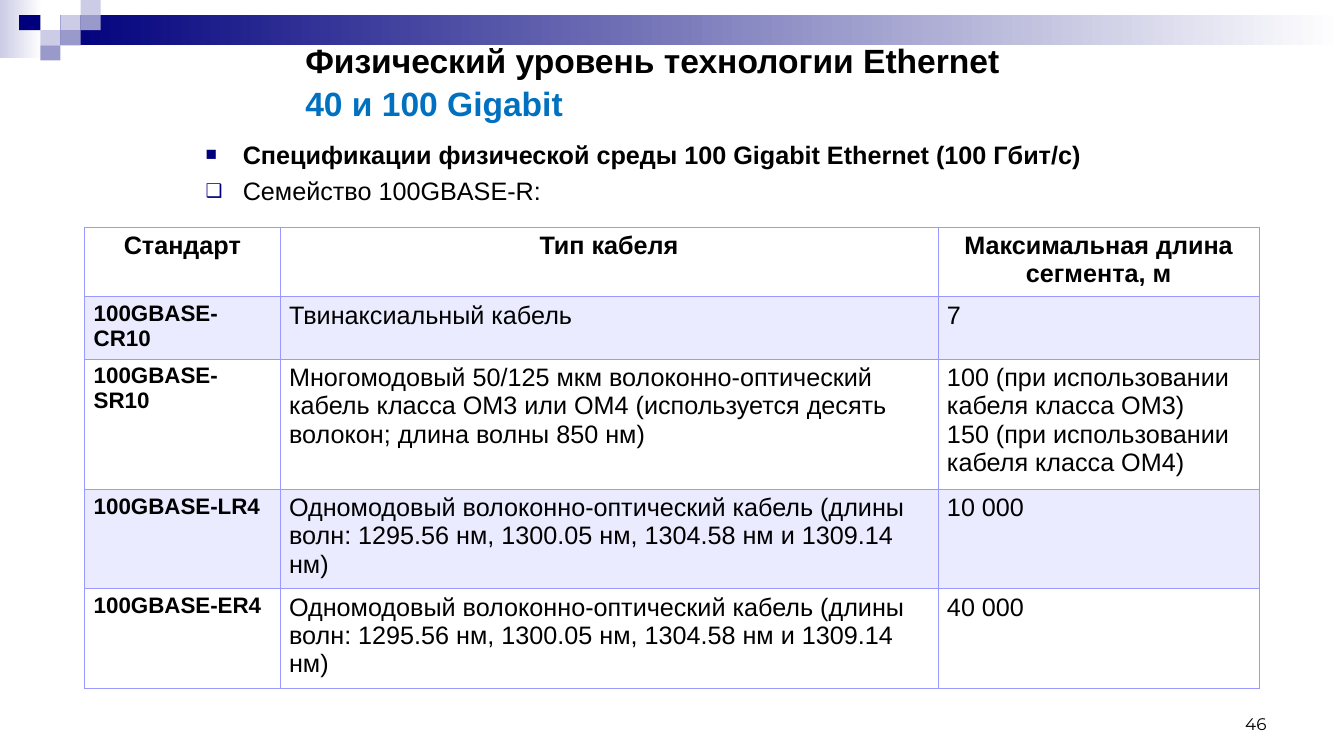
from lxml import etree
from pptx import Presentation
from pptx.dml.color import RGBColor
from pptx.enum.shapes import MSO_SHAPE as Shape
from pptx.enum.text import MSO_ANCHOR as Anchor, MSO_AUTO_SIZE as AutoSize, PP_ALIGN as Align
from pptx.oxml import parse_xml
from pptx.oxml.ns import nsdecls, qn
from pptx.util import Inches, Pt

BLACK = RGBColor(0x00, 0x00, 0x00)
WHITE = RGBColor(0xFF, 0xFF, 0xFF)
BLUE = RGBColor(0x00, 0x70, 0xC0)
NAVY = RGBColor(0x00, 0x00, 0x7D)
LILAC = RGBColor(0x99, 0x99, 0xCC)
PALE = RGBColor(0xCC, 0xCC, 0xE6)
BORDER = RGBColor(0x99, 0x99, 0xFF)
BAND = RGBColor(0xEB, 0xEB, 0xFF)

# Content
TITLE = [("Физический уровень технологии Ethernet ", BLACK), ("40 и 100 Gigabit", BLUE)]
BULLETS = [
    ("■", "Спецификации физической среды 100 Gigabit Ethernet (100 Гбит/с)", True),
    ("❑", "Семейство 100GBASE-R:", False),
]
SINGLE_MODE = ("Одномодовый волоконно-оптический кабель (длины волн: "
               "1295.56 нм, 1300.05 нм, 1304.58 нм и 1309.14 нм)")
ROWS = [
    ("Стандарт", "Тип кабеля", "Максимальная длина сегмента, м"),
    ("100GBASE-CR10", "Твинаксиальный кабель", "7"),
    ("100GBASE-SR10",
     "Многомодовый 50/125 мкм волоконно-оптический кабель класса OM3 или OM4 "
     "(используется десять волокон; длина волны 850 нм)",
     "100 (при использовании кабеля класса OM3)\n150 (при использовании кабеля класса OM4)"),
    ("100GBASE-LR4", SINGLE_MODE, "10 000"),
    ("100GBASE-ER4", SINGLE_MODE, "40 000"),
]
COLUMN_WIDTHS = [1.94, 6.53, 3.19]
ROW_HEIGHTS = [0.69, 0.62, 1.29, 0.99, 0.99]
PAGE_NUMBER = "46"

# Header decoration: left, top, width, height, colour, gradient end
HEADER = [
    (0, 0, 0.42, 0.58, PALE, WHITE),
    (0.6, 0.15, 12.73, 0.3, NAVY, WHITE),
    (0.19, 0.15, 0.21, 0.15, NAVY, None),
]
# Mosaic tiles: column and row on a grid of 0.2 by 0.15
TILES = [(3, 1, PALE), (4, 0, PALE), (4, 1, LILAC), (2, 2, PALE), (3, 2, LILAC), (2, 3, LILAC)]
TILE_WIDTH, TILE_HEIGHT = 0.2, 0.15


def place(shape, left, top, width, height):
    shape.left, shape.top = Inches(left), Inches(top)
    shape.width, shape.height = Inches(width), Inches(height)


def set_font(font, size, bold=False, color=BLACK, name="Arial"):
    font.name, font.size, font.bold = name, Pt(size), bold
    font.color.rgb = color


def add_block(page, left, top, width, height, color, fade=None):
    block = page.shapes.add_shape(Shape.RECTANGLE, Inches(left), Inches(top),
                                  Inches(width), Inches(height))
    block.shadow.inherit = False
    block.line.fill.background()
    if fade is None:
        block.fill.solid()
        block.fill.fore_color.rgb = color
        return
    block.fill.gradient()
    block.fill.gradient_angle = 0
    for stop, shade, position in zip(block.fill.gradient_stops, (color, fade), (0, 1)):
        stop.color.rgb = shade
        stop.position = position


def add_bullet(para, symbol):
    properties = para._p.get_or_add_pPr()
    properties.set("marL", str(Inches(0.37)))
    properties.set("indent", str(-Inches(0.37)))
    color = etree.SubElement(properties, qn("a:buClr"))
    etree.SubElement(color, qn("a:srgbClr"), val=str(NAVY))
    etree.SubElement(properties, qn("a:buSzPct"), val="75000")
    etree.SubElement(properties, qn("a:buFont"), typeface="Arial")
    etree.SubElement(properties, qn("a:buChar"), char=symbol)


def add_borders(cell, widths):
    properties = cell._tc.get_or_add_tcPr()
    for index, (side, width) in enumerate(widths.items()):
        properties.insert(index, parse_xml(
            f'<a:ln{side} {nsdecls("a")} w="{Pt(width)}"><a:solidFill>'
            f'<a:srgbClr val="{BORDER}"/></a:solidFill></a:ln{side}>'))


def fill_cell(cell, text, row, column):
    header = row == 0
    cell.margin_left = cell.margin_right = Inches(0.09)
    cell.margin_top = cell.margin_bottom = Inches(0.05)
    cell.text = text
    for para in cell.text_frame.paragraphs:
        para.alignment = Align.CENTER if header else Align.LEFT
        label = column == 0 and not header
        set_font(para.font, 16 if label else 18, header or label)
    if row % 2:
        cell.fill.solid()
        cell.fill.fore_color.rgb = BAND
    else:
        cell.fill.background()
    add_borders(cell, {"L": 0.45, "R": 0.45, "T": 0.96 if row == 1 else 0.45,
                       "B": 0.96 if header else 0.45})


def main():
    deck = Presentation()
    deck.slide_width, deck.slide_height = Inches(13.34), Inches(7.5)
    page = deck.slides.add_slide(deck.slide_layouts[1])

    # Header decoration
    for block in HEADER:
        add_block(page, *block)
    for column, row, color in TILES:
        add_block(page, column * TILE_WIDTH, row * TILE_HEIGHT, TILE_WIDTH, TILE_HEIGHT, color)

    # Title
    title = page.shapes.title
    place(title, 2.93, 0.52, 7.2, 0.56)
    frame = title.text_frame
    frame.auto_size, frame.vertical_anchor = AutoSize.NONE, Anchor.MIDDLE
    para = frame.paragraphs[0]
    para.alignment, para.line_spacing = Align.LEFT, 1.06
    for text, color in TITLE:
        span = para.add_run()
        span.text = text
        set_font(span.font, 24, True, color)

    # Bullet list
    body = page.placeholders[1]
    place(body, 1.94, 1.33, 9.41, 0.9)
    frame = body.text_frame
    frame.auto_size = AutoSize.NONE
    frame.text = "\n".join(text for _, text, _ in BULLETS)
    for index, (para, (symbol, _, bold)) in enumerate(zip(frame.paragraphs, BULLETS)):
        add_bullet(para, symbol)
        para.alignment = Align.JUSTIFY
        para.space_before = Pt(4.5 if index else 0)
        set_font(para.font, 18, bold)

    # Table of standards
    table = page.shapes.add_table(len(ROWS), len(COLUMN_WIDTHS), Inches(0.84), Inches(2.25),
                                  Inches(sum(COLUMN_WIDTHS)), Inches(sum(ROW_HEIGHTS))).table
    table.first_row = table.horz_banding = False
    for column, width in zip(table.columns, COLUMN_WIDTHS):
        column.width = Inches(width)
    for row, (height, texts) in enumerate(zip(ROW_HEIGHTS, ROWS)):
        table.rows[row].height = Inches(height)
        for column, text in enumerate(texts):
            fill_cell(table.cell(row, column), text, row, column)

    # Page number
    box = page.shapes.add_textbox(Inches(9.56), Inches(6.83), Inches(3.11), Inches(0.5))
    frame = box.text_frame
    frame.word_wrap, frame.vertical_anchor = True, Anchor.BOTTOM
    para = frame.paragraphs[0]
    para.text, para.alignment = PAGE_NUMBER, Align.RIGHT
    set_font(para.font, 12, name="Montserrat")

    deck.save("out.pptx")


if __name__ == "__main__":
    main()
